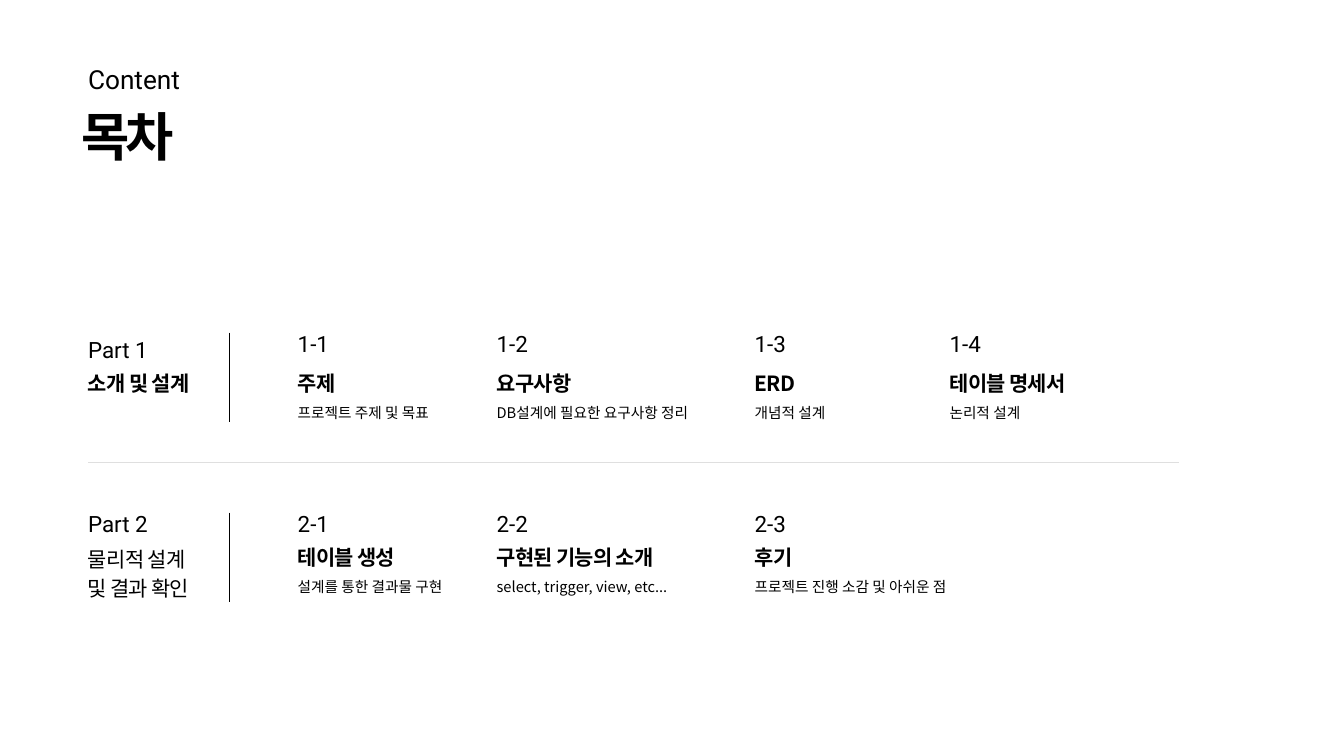
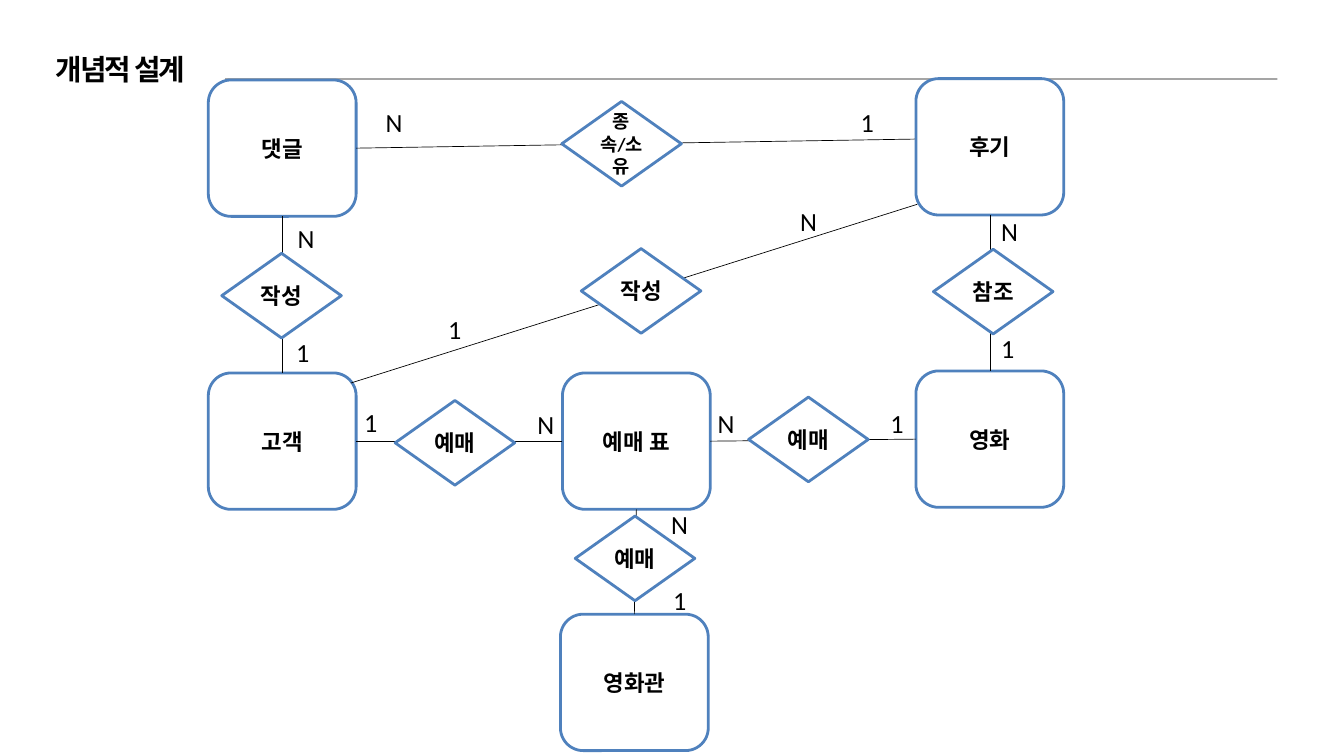
from typing import NamedTuple, Optional

from lxml.etree import SubElement
from pptx import Presentation
from pptx.dml.color import RGBColor
from pptx.enum.shapes import MSO_CONNECTOR, MSO_SHAPE
from pptx.enum.text import MSO_ANCHOR, MSO_AUTO_SIZE, PP_ALIGN
from pptx.oxml.ns import qn
from pptx.util import Emu, Pt

PX = 9144  # one hundredth of an inch
BLACK, WHITE, BLUE, PALE_GRAY = "000000", "FFFFFF", "4F81BD", "DFDFDF"
KOREAN, LATIN, DIAGRAM = "Noto Sans CJK SC", "Roboto", "Calibri"
TOP, LEFT, BOTTOM, RIGHT = range(4)


class Style(NamedTuple):
    font: str
    size: float
    bold: bool = False
    leading: Optional[float] = None
    spacing: float = 0


CONTENT_LABEL = Style(LATIN, 28.1, leading=39.4)
CONTENT_TITLE = Style(KOREAN, 56.2, True, 59, -3.8)
NUMBER = Style(LATIN, 24, leading=33.6)
HEADING = Style(KOREAN, 22.4, True, 31.3, -0.8)
PLAIN_HEADING = HEADING._replace(bold=False)
DETAIL = Style(KOREAN, 15.7, leading=18.9)
PAGE_TITLE = Style("Arial", 30.9, True, 43.3, -2)
NODE = Style(DIAGRAM, 24, True)
SMALL_NODE = NODE._replace(size=20)
CARDINALITY = Style(DIAGRAM, 28)


class Topic(NamedTuple):
    number: str
    heading: str
    detail: str


class Part(NamedTuple):
    name: str
    heading: str
    style: Style
    name_top: int
    heading_top: int
    divider_top: int
    topic_tops: tuple[int, int, int]
    topics: list[Topic]


class Entity(NamedTuple):
    name: str
    left: int
    top: int


class Relation(NamedTuple):
    name: str
    left: int
    top: int
    style: Style = NODE


class Link(NamedTuple):
    start: tuple[int, int]
    end: tuple[int, int]
    start_join: Optional[tuple[str, int]] = None
    end_join: Optional[tuple[str, int]] = None


COLUMNS = [443, 739, 1123, 1413]
PARTS = [
    Part("Part 1", "소개 및 설계", HEADING, 494, 545, 495, (484, 546, 601), [
        Topic("1-1", "주제", "프로젝트 주제 및 목표"),
        Topic("1-2", "요구사항", "DB설계에 필요한 요구사항 정리"),
        Topic("1-3", "ERD", "개념적 설계"),
        Topic("1-4", "테이블 명세서", "논리적 설계"),
    ]),
    Part("Part 2", "물리적 설계 및 결과 확인", PLAIN_HEADING, 753, 807, 763, (752, 805, 860), [
        Topic("2-1", "테이블 생성", "설계를 통한 결과물 구현"),
        Topic("2-2", "구현된 기능의 소개", "select, trigger, view, etc..."),
        Topic("2-3", "후기", "프로젝트 진행 소감 및 아쉬운 점"),
    ]),
]

ENTITIES = [
    Entity("고객", 310, 555),
    Entity("예매 표", 837, 555),
    Entity("영화관", 834, 914),
    Entity("영화", 1363, 552),
    Entity("후기", 1363, 117),
    Entity("댓글", 310, 119),
]
LINKS = [
    Link((530, 657), (837, 657), ("고객", RIGHT), ("예매 표", LEFT)),
    Link((947, 758), (944, 914), ("예매 표", BOTTOM), ("영화관", TOP)),
    Link((1057, 654), (1363, 654), ("예매 표", RIGHT), ("영화", LEFT)),
    Link((1473, 320), (1473, 552), ("후기", BOTTOM), ("영화", TOP)),
    Link((420, 322), (420, 555), ("댓글", BOTTOM), ("고객", TOP)),
    Link((1361, 207), (530, 220), None, ("댓글", RIGHT)),
    Link((1365, 304), (522, 570)),
]
RELATIONS = [
    Relation("예매", 588, 596),
    Relation("예매", 856, 768),
    Relation("예매", 1114, 591),
    Relation("참조", 1389, 371),
    Relation("작성", 865, 370),
    Relation("작성", 330, 377),
    Relation("종속/소유", 836, 151, SMALL_NODE),
]
CARDINALITIES = {
    "1": [(532, 600), (1480, 490), (1315, 601), (657, 462), (992, 865), (431, 496), (1271, 154)],
    "N": [(790, 603), (1480, 315), (1058, 601), (1181, 300), (989, 752), (433, 326), (564, 154)],
}


def px(length: int) -> Emu:
    return Emu(length * PX)


def color(value: str) -> RGBColor:
    return RGBColor.from_string(value)


def write(frame, text: str, style: Style, align=PP_ALIGN.LEFT) -> None:
    frame.word_wrap = True
    para = frame.paragraphs[0]
    para.text = text
    para.alignment = align
    if style.leading:
        para.line_spacing = Pt(style.leading)
    font = para.font
    font.name, font.size, font.bold = style.font, Pt(style.size), style.bold
    font.color.rgb = color(BLACK)
    properties = para._p.pPr.find(qn("a:defRPr"))
    if style.spacing:
        properties.set("spc", str(round(style.spacing * 100)))
    if style.font == KOREAN:
        SubElement(properties, qn("a:ea")).set("typeface", KOREAN)


def add_text(page, text: str, left: int, top: int, width: int, height: int,
             style: Style, margin: bool = False) -> None:
    box = page.shapes.add_textbox(px(left), px(top), px(width), px(height))
    frame = box.text_frame
    if not margin:
        frame.margin_left = frame.margin_top = frame.margin_right = frame.margin_bottom = 0
    write(frame, text, style)
    frame.auto_size = MSO_AUTO_SIZE.SHAPE_TO_FIT_TEXT


def add_line(page, start: tuple[int, int], end: tuple[int, int], line_color: str = BLACK):
    line = page.shapes.add_connector(MSO_CONNECTOR.STRAIGHT, *map(px, start + end))
    line.line.color.rgb = color(line_color)
    line.line.width = Pt(0.75)
    SubElement(line._element.spPr, qn("a:effectLst"))
    return line


def add_node(page, kind, text: str, left: int, top: int, width: int, height: int, style: Style):
    node = page.shapes.add_shape(kind, px(left), px(top), px(width), px(height))
    node.shadow.inherit = False
    node.fill.solid()
    node.fill.fore_color.rgb = color(WHITE)
    node.line.color.rgb = color(BLUE)
    node.line.width = Pt(3)
    node.text_frame.vertical_anchor = MSO_ANCHOR.MIDDLE
    write(node.text_frame, text, style, PP_ALIGN.CENTER)
    return node


def add_part(page, part: Part) -> None:
    add_text(page, part.name, 131, part.name_top, 118, 48, NUMBER)
    add_text(page, part.heading, 131, part.heading_top, 156, 41, part.style)
    add_line(page, (342, part.divider_top), (342, part.divider_top + 133))
    number_top, heading_top, detail_top = part.topic_tops
    for left, topic in zip(COLUMNS, part.topics):
        add_text(page, topic.number, left, number_top, 109, 48, NUMBER)
        add_text(page, topic.heading, left, heading_top, 323, 42, HEADING)
        add_text(page, topic.detail, left, detail_top, 345, 25, DETAIL)


def build_contents(page) -> None:
    add_text(page, "Content", 131, 86, 409, 57, CONTENT_LABEL)
    add_text(page, "목차", 121, 167, 756, 84, CONTENT_TITLE)
    for part in PARTS:
        add_part(page, part)
    add_line(page, (131, 688), (1754, 688), PALE_GRAY)


def build_diagram(page) -> None:
    # Title and its hairline
    hairline = page.shapes.add_shape(MSO_SHAPE.RECTANGLE, px(335), px(117), px(1566), px(1))
    hairline.shadow.inherit = False
    hairline.fill.solid()
    hairline.fill.fore_color.rgb = color(BLACK)
    hairline.line.fill.background()
    add_text(page, "개념적 설계", 83, 68, 381, 54, PAGE_TITLE)

    # Entities and the links between them
    nodes = {
        entity.name: add_node(page, MSO_SHAPE.ROUNDED_RECTANGLE, *entity, 220, 203, NODE)
        for entity in ENTITIES
    }
    for link in LINKS:
        line = add_line(page, link.start, link.end)
        if link.start_join:
            name, side = link.start_join
            line.begin_connect(nodes[name], side)
        if link.end_join:
            name, side = link.end_join
            line.end_connect(nodes[name], side)

    # Relations lie over the links
    for name, left, top, style in RELATIONS:
        add_node(page, MSO_SHAPE.FLOWCHART_DECISION, name, left, top, 178, 126, style)
    for text, places in CARDINALITIES.items():
        for left, top in places:
            add_text(page, text, left, top, 75, 57, CARDINALITY, margin=True)


def main() -> None:
    deck = Presentation()
    deck.slide_width, deck.slide_height = px(2000), px(1125)
    for build in (build_contents, build_diagram):
        build(deck.slides.add_slide(deck.slide_layouts[6]))
    deck.save("out.pptx")


if __name__ == "__main__":
    main()
